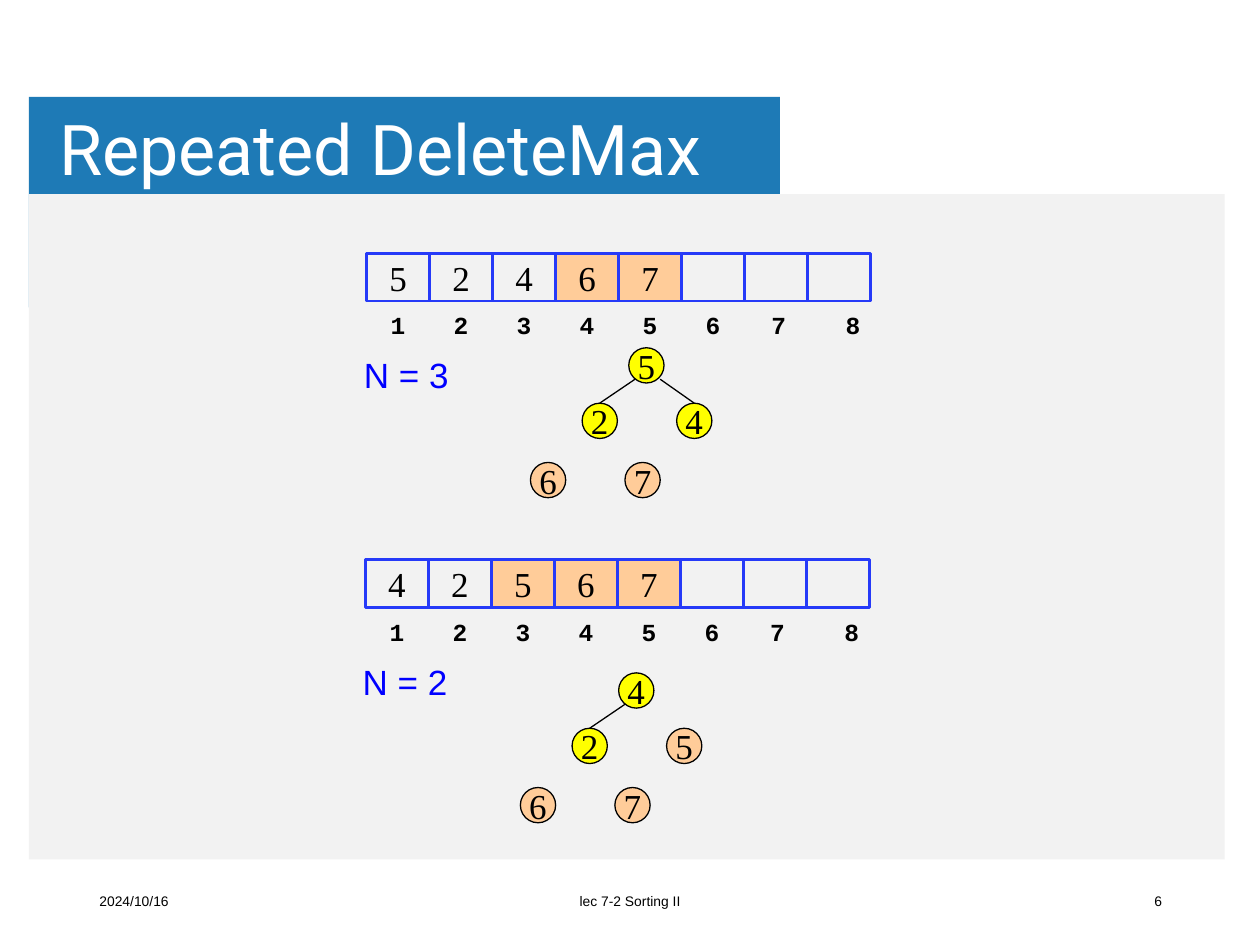
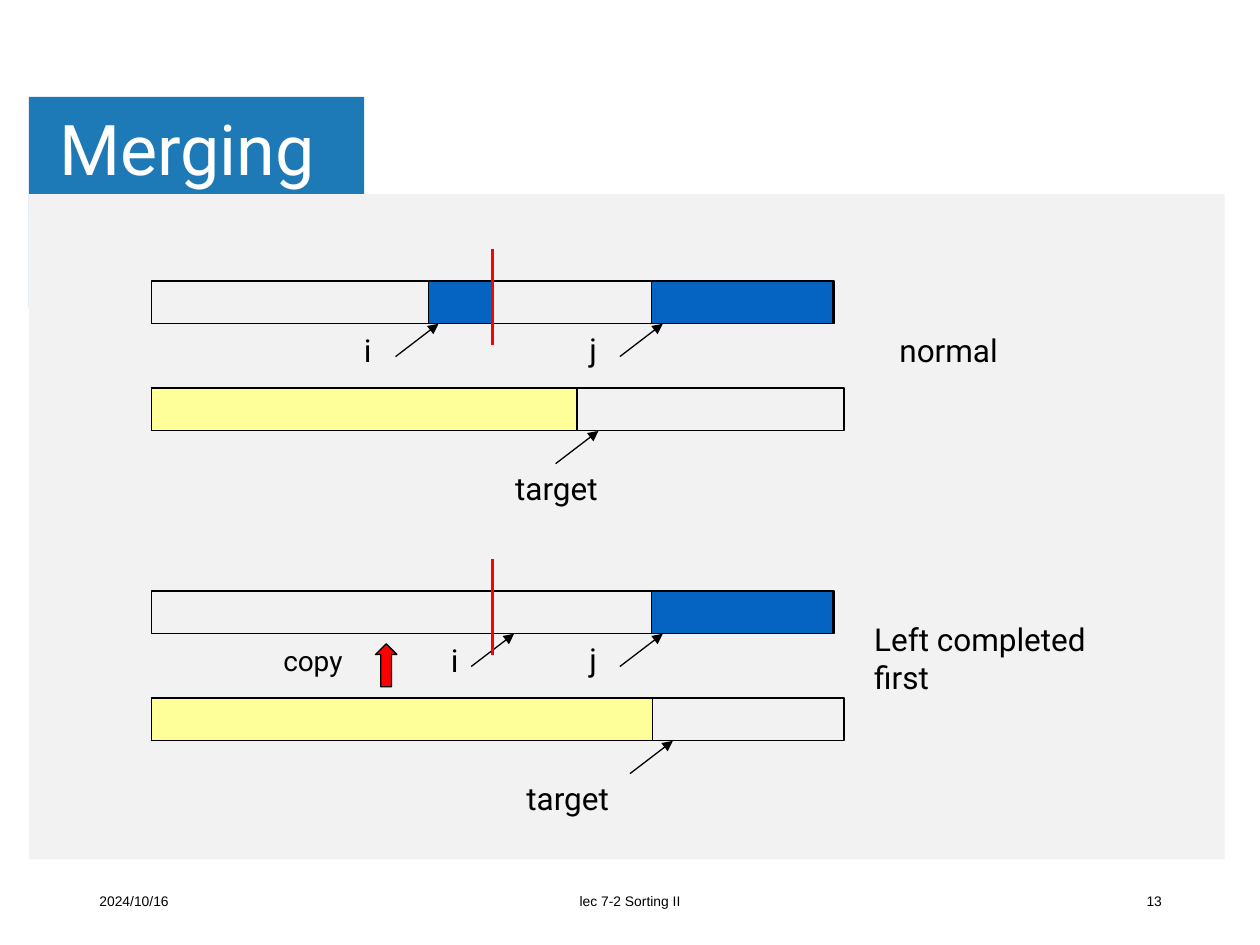
from dataclasses import dataclass
from typing import Any, NamedTuple, Optional

import pptx
import pptx.dml.color
import pptx.enum.shapes
import pptx.enum.text
import pptx.oxml
import pptx.oxml.ns
import pptx.shapes.base
import pptx.slide
import pptx.util

Inches = pptx.util.Inches
Pt = pptx.util.Pt
RGB = pptx.dml.color.RGBColor
Kind = pptx.enum.shapes.MSO_SHAPE
Align = pptx.enum.text.PP_ALIGN
Anchor = pptx.enum.text.MSO_ANCHOR
Fit = pptx.enum.text.MSO_AUTO_SIZE
Slide = pptx.slide.Slide
Shape = pptx.shapes.base.BaseShape

# Colours
BAND = RGB(0x1E, 0x7A, 0xB6)
PANEL = RGB(0xF2, 0xF2, 0xF2)
WHITE = RGB(0xFF, 0xFF, 0xFF)
BLACK = RGB(0x00, 0x00, 0x00)
BLUE = RGB(0x00, 0x00, 0xFF)
FRAME = RGB(0x26, 0x3A, 0xF8)
PEACH = RGB(0xFF, 0xCC, 0x99)
YELLOW = RGB(0xFF, 0xFF, 0x00)
CREAM = RGB(0xFF, 0xFF, 0x99)
NAVY = RGB(0x05, 0x63, 0xC1)
RED = RGB(0xFF, 0x00, 0x00)


class Box(NamedTuple):
    left: float
    top: float
    width: float
    height: float


class Style(NamedTuple):
    font: dict[str, Any]
    color: RGB = BLACK
    para: dict[str, Any] = {}
    frame: dict[str, Any] = {}


# Text styles
MID = {"vertical_anchor": Anchor.MIDDLE, "word_wrap": False}
CENTER = {"alignment": Align.CENTER}
GROW = {"auto_size": Fit.SHAPE_TO_FIT_TEXT}
TITLE = Style(
    {"name": "Roboto", "size": Pt(40)}, WHITE,
    {"alignment": Align.LEFT, "line_spacing": 0.9},
    {"vertical_anchor": Anchor.MIDDLE, "word_wrap": True, "auto_size": Fit.NONE,
     "margin_left": Inches(0.07), "margin_right": Inches(0.07),
     "margin_top": Inches(0.04), "margin_bottom": Inches(0.04)})
VALUE = Style({"name": "Times New Roman", "size": Pt(20)}, BLACK, CENTER, MID)
INDEX = Style({"name": "Courier New", "size": Pt(14), "bold": True}, BLACK, CENTER, MID)
COUNT = Style({"name": "Arial", "size": Pt(20)}, BLUE, {}, GROW | {"word_wrap": False})
LABEL = Style({"name": "Roboto", "size": Pt(18)}, BLACK, {}, GROW | {"word_wrap": True})
SMALL = LABEL._replace(font={"name": "Roboto", "size": Pt(16)})


@dataclass
class Heap:
    """An array row with its size and the tree below it."""
    left: float
    top: float
    values: str
    size: int
    root: tuple[float, float]


@dataclass
class Merge:
    """Two runs above a target bar; positions are absolute lefts."""
    top: float
    filled: float
    point: float
    goal: float
    name: float
    aim: float
    note: Box
    text: str


HEAPS = [Heap(2.91, 2.01, "52467", 3, (4.99, 2.76)),
         Heap(2.90, 4.44, "42567", 2, (4.91, 5.34))]
MERGES = [Merge(2.23, 3.38, 3.48, 4.75, 2.79, 3.99,
                Box(7.04, 2.58, 1.37, 0.4), "normal"),
          Merge(4.69, 3.98, 4.08, 5.34, 3.48, 4.08,
                Box(6.84, 4.87, 2.46, 0.71), "Left completed\nfirst")]

# Row and tree measures
CELLS, CELL, ROW = 8, 0.5, 0.38
NUDGE = {7: 0.02, 8: 0.11}
NODE = 0.28
NODES = [(0, 0), (-0.37, 0.44), (0.38, 0.44), (-0.78, 0.91), (-0.03, 0.91)]
EDGES = {1: 0.05, 2: 0.25}

# Merge measures
START, SPLIT, RIGHT = 1.2, 3.91, 5.17
RUN, BAR, DROP = 2.71, 0.34, 0.85


def put(target: Any, values: dict[str, Any]) -> None:
    for key, value in values.items():
        setattr(target, key, value)


def write(shape: Shape, text: str, style: Style) -> None:
    frame = shape.text_frame
    frame.text = text
    put(frame, style.frame)
    for para in frame.paragraphs:
        put(para, style.para)
        put(para.font, style.font)
        para.font.color.rgb = style.color


def place(slide: Slide, box: Box, fill: Optional[RGB] = None,
          line: Optional[RGB] = None, weight: float = 0.75,
          kind: Kind = Kind.RECTANGLE) -> Shape:
    shape = slide.shapes.add_shape(kind, *map(Inches, box))
    shape.shadow.inherit = False
    if fill is None:
        shape.fill.background()
    else:
        shape.fill.solid()
        shape.fill.fore_color.rgb = fill
    if line is None:
        shape.line.fill.background()
    else:
        shape.line.color.rgb = line
        shape.line.width = Pt(weight)
    return shape


def label(slide: Slide, box: Box, text: str, style: Style) -> None:
    write(slide.shapes.add_textbox(*map(Inches, box)), text, style)


def link(slide: Slide, ends: tuple[float, float, float, float],
         color: RGB = BLACK, weight: float = 0.75, arrow: bool = False) -> None:
    line = slide.shapes.add_connector(
        pptx.enum.shapes.MSO_CONNECTOR.STRAIGHT, *map(Inches, ends))
    line.line.color.rgb = color
    line.line.width = Pt(weight)
    if arrow:
        tail = pptx.oxml.parse_xml(
            f'<a:tailEnd {pptx.oxml.ns.nsdecls("a")} type="triangle"/>')
        line.line._get_or_add_ln().append(tail)
    line.element.spPr.append(
        pptx.oxml.parse_xml(f'<a:effectLst {pptx.oxml.ns.nsdecls("a")}/>'))


def start(deck: Any, title: str, band: float, page: int) -> Slide:
    """Add a slide with its band, panel, title and footers."""
    slide = deck.slides.add_slide(deck.slide_layouts[5])
    head = slide.shapes.title
    put(head, dict(zip(Box._fields, map(Inches, (0.4, 0.82, 7.51, 0.79)))))
    write(head, title, TITLE)
    for box, fill in ((Box(0.23, 0.77, band, 1.67), BAND),
                      (Box(0.23, 1.54, 9.49, 5.28), PANEL)):
        head.element.addprevious(place(slide, box, fill).element)
    for left, width, text, align in (
            (0.69, 2.25, "2024/10/16", Align.LEFT),
            (3.31, 3.38, "lec 7-2 Sorting II", Align.CENTER),
            (7.07, 2.25, str(page), Align.RIGHT)):
        style = Style({"name": "Arial", "size": Pt(7.9)}, BLACK, {"alignment": align},
                      {"vertical_anchor": Anchor.MIDDLE, "word_wrap": True})
        label(slide, Box(left, 6.95, width, 0.4), text, style)
    return slide


def heap(slide: Slide, part: Heap) -> None:
    label(slide, Box(part.left - 0.12, part.top + 0.75, 0.87, 0.44),
          f"N = {part.size}", COUNT)
    # Array cells and their indices
    for pos in range(CELLS):
        box = Box(part.left + pos * CELL, part.top, CELL, ROW)
        done = part.size <= pos < len(part.values)
        cell = place(slide, box, PEACH if done else None, FRAME, 1.5)
        if pos < len(part.values):
            write(cell, part.values[pos], VALUE)
        spot = box._replace(left=box.left + NUDGE.get(pos + 1, 0), top=box.top + ROW)
        label(slide, spot, str(pos + 1), INDEX)
    # Tree nodes and edges
    left, top = part.root
    for pos, (value, (dx, dy)) in enumerate(zip(part.values, NODES)):
        live = pos < part.size
        node = place(slide, Box(left + dx, top + dy, NODE, NODE),
                     YELLOW if live else PEACH, BLACK, kind=Kind.OVAL)
        write(node, value, VALUE)
        if live and pos in EDGES:
            link(slide, (left + EDGES[pos], top + 0.25,
                         left + dx + NODE / 2, top + dy))


def merge(slide: Slide, part: Merge) -> None:
    top, low = part.top, part.top + DROP
    # Runs and target bar
    for left, level, width, fill in (
            (START, low, part.filled, CREAM), (START, top, RUN, None),
            (SPLIT, top, RUN, None), (START, low, 5.5, None),
            (RIGHT, top, 1.44, NAVY)):
        place(slide, Box(left, level, width, BAR), fill, BLACK)
    # Pointers with their names
    for name, tip, level, left, gap, width in (
            ("i", part.point, top, part.name, 0.01, 0.46),
            ("j", 5.26, top, 4.58, 0, 0.46),
            ("target", part.goal, low, part.aim, 0.25, 1.21)):
        base = level + BAR
        link(slide, (tip - 0.34, base + 0.26, tip, base), arrow=True)
        label(slide, Box(left, base + gap, width, 0.4), name, LABEL)
    label(slide, part.note, part.text, LABEL)


def split(slide: Slide, top: float) -> None:
    link(slide, (SPLIT, top - 0.25, SPLIT, top + 0.51), RED, 1.5)


def main() -> None:
    deck = pptx.Presentation()
    deck.slide_width, deck.slide_height = Inches(10), Inches(7.5)

    # Heap sort steps
    slide = start(deck, "Repeated DeleteMax", 5.96, 6)
    for part in HEAPS:
        heap(slide, part)

    # Merge cases
    slide = start(deck, "Merging", 2.66, 13)
    for part in MERGES:
        merge(slide, part)
    place(slide, Box(3.4, 2.23, 0.51, BAR), NAVY, BLACK)
    for part in MERGES:
        split(slide, part.top)
    place(slide, Box(2.98, 5.11, 0.17, 0.34), RED, BLACK, kind=Kind.UP_ARROW)
    label(slide, Box(2.15, 5.06, 0.93, 0.37), "copy", SMALL)

    deck.save("out.pptx")


if __name__ == "__main__":
    main()
